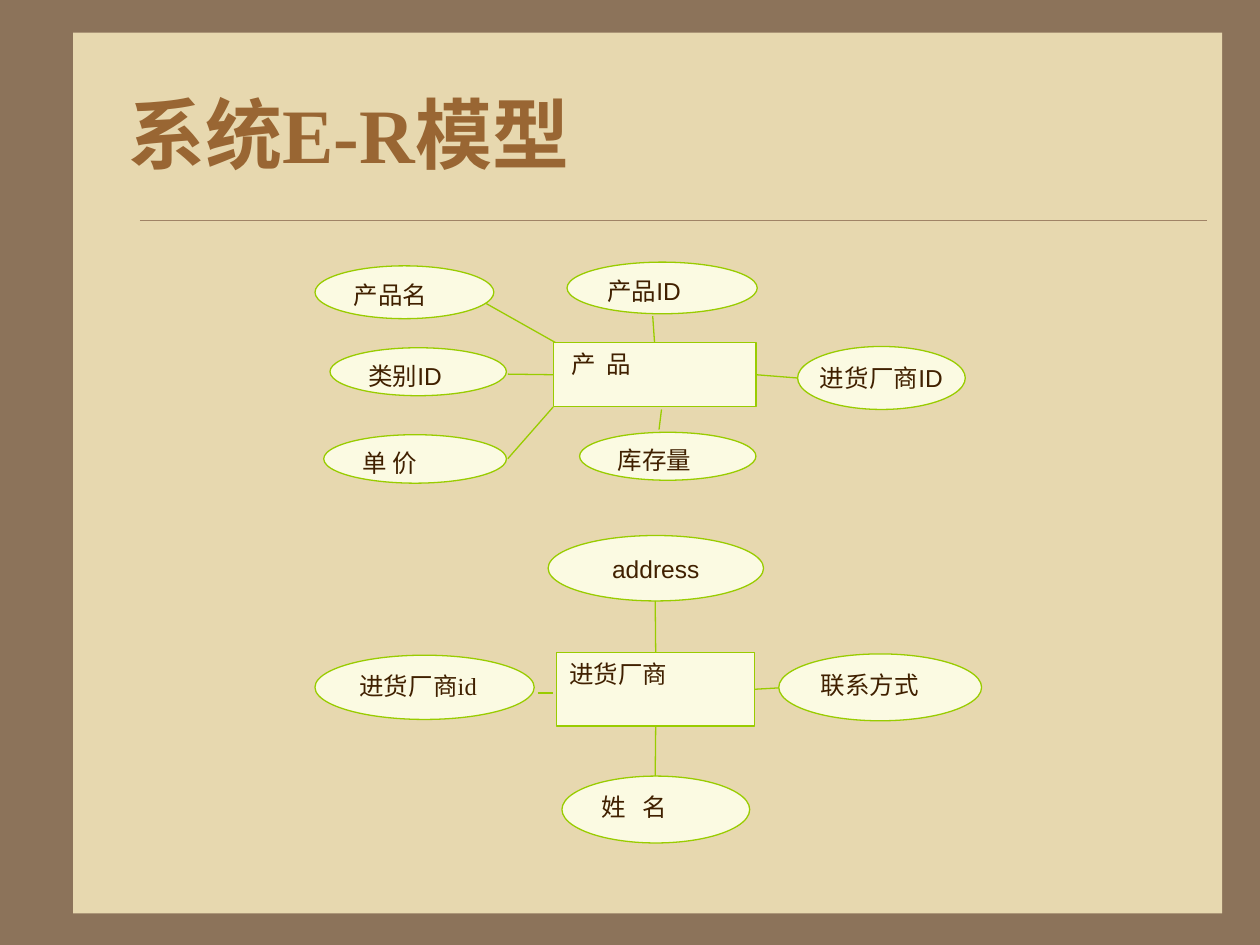
from dataclasses import dataclass

from pptx import Presentation
from pptx.dml.color import RGBColor as RGB
from pptx.enum.shapes import MSO_CONNECTOR as Connector, MSO_SHAPE as Preset
from pptx.enum.text import MSO_ANCHOR as Anchor, PP_ALIGN as Align
from pptx.oxml.ns import qn
from pptx.util import Pt
from lxml.etree import SubElement


@dataclass(frozen=True)
class Theme:
    frame: RGB = RGB.from_string("8C735A")
    panel: RGB = RGB.from_string("E7D8AF")
    rule: RGB = RGB.from_string("A08366")
    node: RGB = RGB.from_string("FBFAE2")
    edge: RGB = RGB.from_string("99CC00")
    text: RGB = RGB.from_string("402000")
    title: RGB = RGB.from_string("996633")
    sans: str = "Arial"
    serif: str = "Times New Roman"
    title_size: int = 44
    label_size: int = 14
    edge_width: float = 0.75
    rule_width: float = 0.25


THEME = Theme()
TOP, LEFT, BOTTOM, RIGHT = range(4)

TITLE = "系统E-R模型"
TITLE_BOX = (66.2, 36, 613.4, 79.9)
PANEL_BOX = (41.8, 18.7, 656.6, 503.3)
RULE = ((79.9, 126), (689.8, 126))

# Attributes: label, font, box (left, top, width, height), centred
# Links: entity side to join (or None), attribute end, entity end
MODEL = [
    {
        "entity": (" 产  品", THEME.sans, (316.1, 195.8, 115.9, 36.7)),
        "attributes": [
            ("库存量", THEME.sans, (331.2, 247, 100.8, 27.4), False),
            ("单 价", THEME.sans, (185, 248.4, 104.4, 27.7), False),
            ("类别ID", THEME.sans, (188.6, 198.7, 100.8, 27.4), False),
            ("产品名", THEME.sans, (180, 151.9, 102.2, 30.2), False),
            ("产品ID", THEME.sans, (324, 149.8, 108.7, 29.5), False),
            ("进货厂商ID", THEME.sans, (455.8, 198, 95.8, 36), True),
        ],
        "links": [
            (None, (376.6, 245.5), (378, 234)),
            (None, (290.2, 262.1), (316.1, 232.6)),
            (LEFT, (290.2, 213.8), None),
            (None, (277.9, 173.5), (317.5, 195.8)),
            (TOP, (373, 180.7), None),
            (RIGHT, (455.8, 216), None),
        ],
    },
    {
        "entity": ("进货厂商", THEME.serif, (318.2, 373, 113, 41.8)),
        "attributes": [
            ("进货厂商id", THEME.serif, (180, 374.4, 125.3, 36.7), False),
            ("姓   名", THEME.serif, (321.1, 443.5, 107.3, 38.2), False),
            ("联系方式", THEME.serif, (445, 373.7, 115.9, 38.2), False),
            ("address", THEME.sans, (313.2, 306, 123.1, 37.4), True),
        ],
        "links": [
            (None, (307.4, 396), (316.1, 396)),
            (BOTTOM, (374.4, 443.5), None),
            (TOP, (374.4, 343.4), None),
            (RIGHT, (445, 393.1), None),
        ],
    },
]


def points(values):
    return [Pt(value) for value in values]


def set_font(para, name, size, color, bold=False):
    para.font.name = name
    para.font.size = Pt(size)
    para.font.color.rgb = color
    para.font.bold = bold


def add_filled(page, preset, box, fill):
    shape = page.shapes.add_shape(preset, *points(box))
    shape.shadow.inherit = False
    shape.fill.solid()
    shape.fill.fore_color.rgb = fill
    return shape


def add_node(page, preset, label, font, box, centred=False):
    node = add_filled(page, preset, box, THEME.node)
    node.line.color.rgb = THEME.edge
    node.line.width = Pt(THEME.edge_width)
    frame = node.text_frame
    frame.word_wrap = not centred
    frame.vertical_anchor = Anchor.MIDDLE if centred else Anchor.TOP
    para = frame.paragraphs[0]
    para.text = label
    para.alignment = Align.CENTER if centred else Align.JUSTIFY
    set_font(para, font, THEME.label_size, THEME.text)
    return node


def add_line(page, start, end, color, width):
    line = page.shapes.add_connector(Connector.STRAIGHT, *points(start + end))
    line.line.color.rgb = color
    line.line.width = Pt(width)
    SubElement(line._element.spPr, qn("a:effectLst"))
    return line


def add_title(page):
    title = page.shapes.title
    title.left, title.top, title.width, title.height = points(TITLE_BOX)
    title.text_frame.text = TITLE
    title.text_frame.word_wrap = True
    title.text_frame.vertical_anchor = Anchor.MIDDLE
    para = title.text_frame.paragraphs[0]
    para.alignment = Align.LEFT
    set_font(para, THEME.serif, THEME.title_size, THEME.title, bold=True)


def add_diagram(page, diagram):
    entity = add_node(page, Preset.RECTANGLE, *diagram["entity"])
    for attribute in diagram["attributes"]:
        add_node(page, Preset.OVAL, *attribute)
    for side, start, end in diagram["links"]:
        line = add_line(page, start, end or start, THEME.edge, THEME.edge_width)
        if side is not None:
            line.end_connect(entity, side)


def main():
    deck = Presentation()
    deck.slide_width, deck.slide_height = Pt(720), Pt(540)
    page = deck.slides.add_slide(deck.slide_layouts[5])
    page.background.fill.solid()
    page.background.fill.fore_color.rgb = THEME.frame

    panel = add_filled(page, Preset.RECTANGLE, PANEL_BOX, THEME.panel)
    panel.line.fill.background()
    add_line(page, *RULE, THEME.rule, THEME.rule_width)
    for diagram in MODEL:
        add_diagram(page, diagram)
    add_title(page)
    # The title placeholder comes first in the tree; bring it above the panel
    page.shapes._spTree.append(page.shapes.title._element)
    deck.save("out.pptx")


if __name__ == "__main__":
    main()
